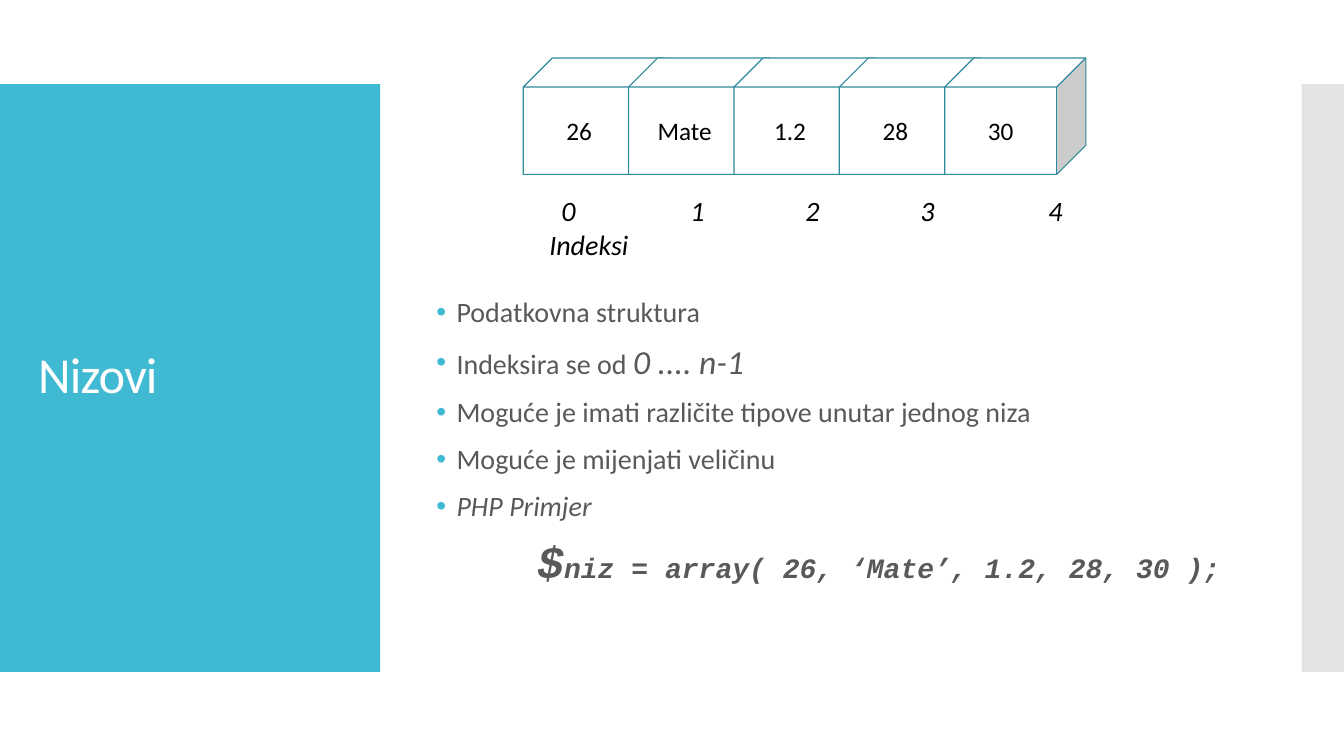
from lxml import etree
from pptx import Presentation
from pptx.dml.color import RGBColor
from pptx.enum.shapes import MSO_SHAPE
from pptx.enum.text import MSO_ANCHOR, PP_ALIGN
from pptx.oxml.ns import qn
from pptx.util import Inches, Pt

RECTANGLE, CUBE = MSO_SHAPE.RECTANGLE, MSO_SHAPE.CUBE
TOP, MIDDLE, CENTER = MSO_ANCHOR.TOP, MSO_ANCHOR.MIDDLE, PP_ALIGN.CENTER

COLORS = {
    "accent": "40BAD2", "side": "C8C8C8", "white": "FFFFFF",
    "body": "595959", "black": "000000", "cube_line": "2F8A9B",
}
SANS, MONO = "Calibri", "Courier New"

TITLE = "Nizovi"
ARRAY_VALUES = ["26", "Mate", "1.2", "28", "30"]
INDEX_LABEL = "Indeksi"
# Each bullet is a list of (text, size, italic) runs.
BULLETS = [
    [("Podatkovna struktura", 20, False)],
    [("Indeksira se od ", 20, False), ("0 .... n-1", 24, True)],
    [("Moguće je imati različite tipove unutar jednog niza", 20, False)],
    [("Moguće je mijenjati veličinu", 20, False)],
    [("PHP Primjer", 20, True)],
]
CODE = [("$", 32), ("niz = array( 26, ‘Mate’, 1.2, 28, 30 );", 20)]

SLIDE_WIDTH, SLIDE_HEIGHT = 13.33, 7.5
BAND_TOP, BAND_HEIGHT = SLIDE_HEIGHT / 9, SLIDE_HEIGHT * 7 / 9
TITLE_BAND_WIDTH, SIDE_BAND_WIDTH = 3.77, 0.42
CUBE_LEFT, CUBE_TOP, CUBE_PITCH = 5.19, 0.575, 1.045
CUBE_WIDTH, CUBE_HEIGHT = 1.4, 1.155
INDEX_STOPS = [0.12, 1.4, 2.54, 3.68, 4.95]
BULLET_INDENT, CODE_INDENT = 0.2, 1.0


def color(name):
    return RGBColor.from_string(COLORS[name])


def add_solid(slide, kind, left, top, width, height, fill, line=None):
    shape = slide.shapes.add_shape(
        kind, Inches(left), Inches(top), Inches(width), Inches(height))
    shape.shadow.inherit = False
    shape.fill.solid()
    shape.fill.fore_color.rgb = color(fill)
    if line:
        shape.line.color.rgb = color(line)
        shape.line.width = Pt(0.85)
    else:
        shape.line.fill.background()
    return shape


def add_text_frame(slide, left, top, width, height, anchor):
    box = slide.shapes.add_textbox(
        Inches(left), Inches(top), Inches(width), Inches(height))
    box.text_frame.word_wrap = True
    box.text_frame.vertical_anchor = anchor
    return box.text_frame


def add_span(para, text, size, ink, italic=False, bold=False, font=SANS):
    span = para.add_run()
    span.text = text
    span.font.name = font
    span.font.size = Pt(size)
    span.font.italic = italic
    span.font.bold = bold
    span.font.color.rgb = color(ink)
    return span


def next_para(frame):
    """Return the frame's first paragraph while unused, else a new one."""
    first = frame.paragraphs[0]
    return frame.add_paragraph() if first.runs else first


def set_indent(para, left, first=0):
    properties = para._p.get_or_add_pPr()
    properties.set("marL", str(Inches(left)))
    properties.set("indent", str(Inches(first)))


def add_bullet(para):
    set_indent(para, BULLET_INDENT, -BULLET_INDENT)
    properties = para._p.get_or_add_pPr()
    bullet_color = etree.SubElement(properties, qn("a:buClr"))
    etree.SubElement(bullet_color, qn("a:srgbClr"), val=COLORS["accent"])
    etree.SubElement(properties, qn("a:buFont"), typeface="Arial")
    etree.SubElement(properties, qn("a:buChar"), char="•")


def add_tab_stops(para, stops):
    tabs = etree.SubElement(para._p.get_or_add_pPr(), qn("a:tabLst"))
    for stop in stops:
        etree.SubElement(tabs, qn("a:tab"), pos=str(Inches(stop)), algn="l")


def add_bands(slide):
    add_solid(slide, RECTANGLE, 0, BAND_TOP, TITLE_BAND_WIDTH, BAND_HEIGHT, "accent")
    side = add_solid(slide, RECTANGLE, SLIDE_WIDTH - SIDE_BAND_WIDTH, BAND_TOP,
                     SIDE_BAND_WIDTH, BAND_HEIGHT, "side")
    fill = side._element.spPr.find(qn("a:solidFill"))
    etree.SubElement(fill[0], qn("a:alpha"), val="50000")


def add_title(slide):
    para = add_text_frame(slide, 0.28, 1.23, 3.22, 5.03, MIDDLE).paragraphs[0]
    para.line_spacing = 0.9
    span = add_span(para, TITLE, 36, "white")
    span._r.get_or_add_rPr().set("spc", "-60")


def add_body(slide):
    frame = add_text_frame(slide, 4.23, 2.12, 8, 4.55, MIDDLE)
    for bullet in BULLETS + [None]:
        para = next_para(frame)
        para.line_spacing = 0.9
        para.space_before = Pt(12)
        if bullet:
            add_bullet(para)
            for text, size, italic in bullet:
                add_span(para, text, size, "body", italic)
        else:
            set_indent(para, CODE_INDENT)
            for text, size in CODE:
                add_span(para, text, size, "body", True, True, MONO)


def add_array(slide):
    for index, value in enumerate(ARRAY_VALUES):
        cube = add_solid(slide, CUBE, CUBE_LEFT + index * CUBE_PITCH, CUBE_TOP,
                         CUBE_WIDTH, CUBE_HEIGHT, "white", "cube_line")
        cube.text_frame.vertical_anchor = MIDDLE
        para = cube.text_frame.paragraphs[0]
        para.alignment = CENTER
        add_span(para, value, 18, "black")

    frame = add_text_frame(slide, 5.35, 1.87, 7.13, 0.44, TOP)
    indices = next_para(frame)
    add_tab_stops(indices, INDEX_STOPS)
    for index in range(len(ARRAY_VALUES)):
        add_span(indices, f"\t{index}", 20, "black", True)
    add_span(next_para(frame), INDEX_LABEL, 20, "black", True)


def main():
    deck = Presentation()
    deck.slide_width, deck.slide_height = Inches(SLIDE_WIDTH), Inches(SLIDE_HEIGHT)
    page = deck.slides.add_slide(deck.slide_layouts[6])
    add_bands(page)
    add_title(page)
    add_body(page)
    add_array(page)
    deck.save("out.pptx")


if __name__ == "__main__":
    main()
